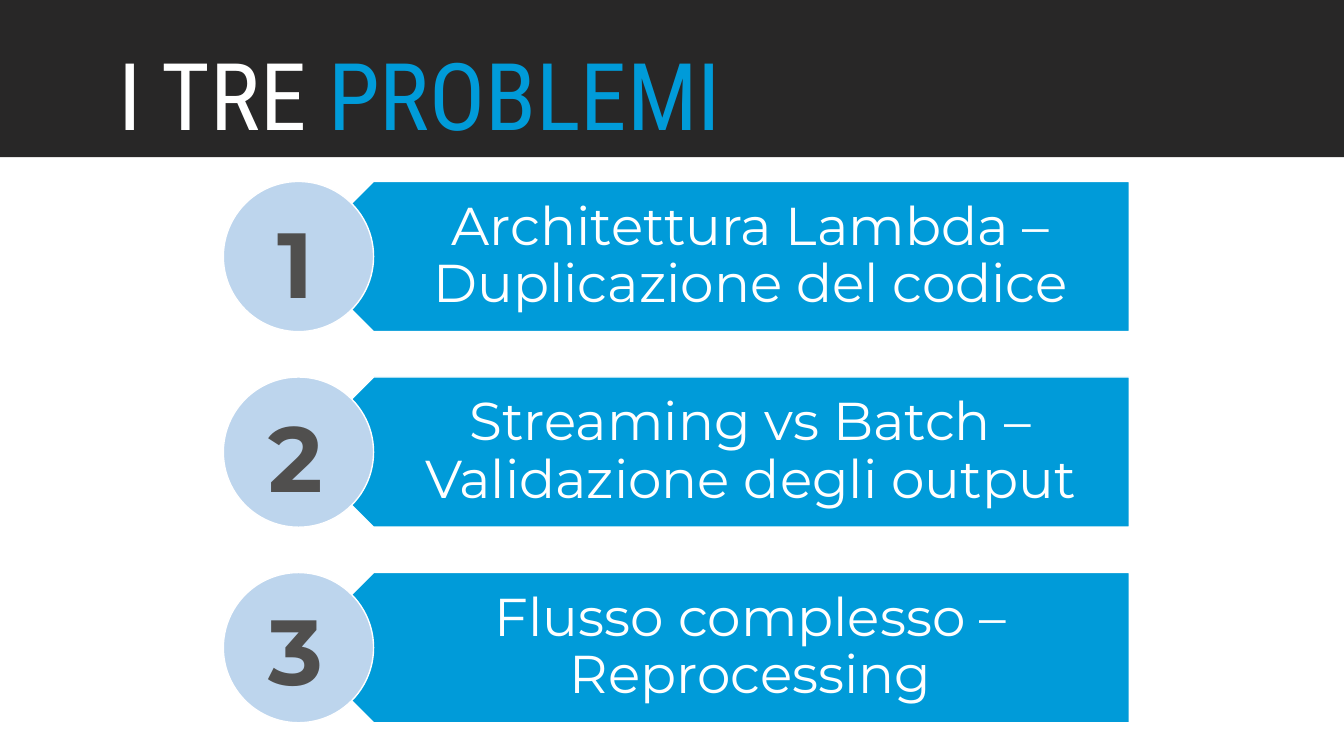
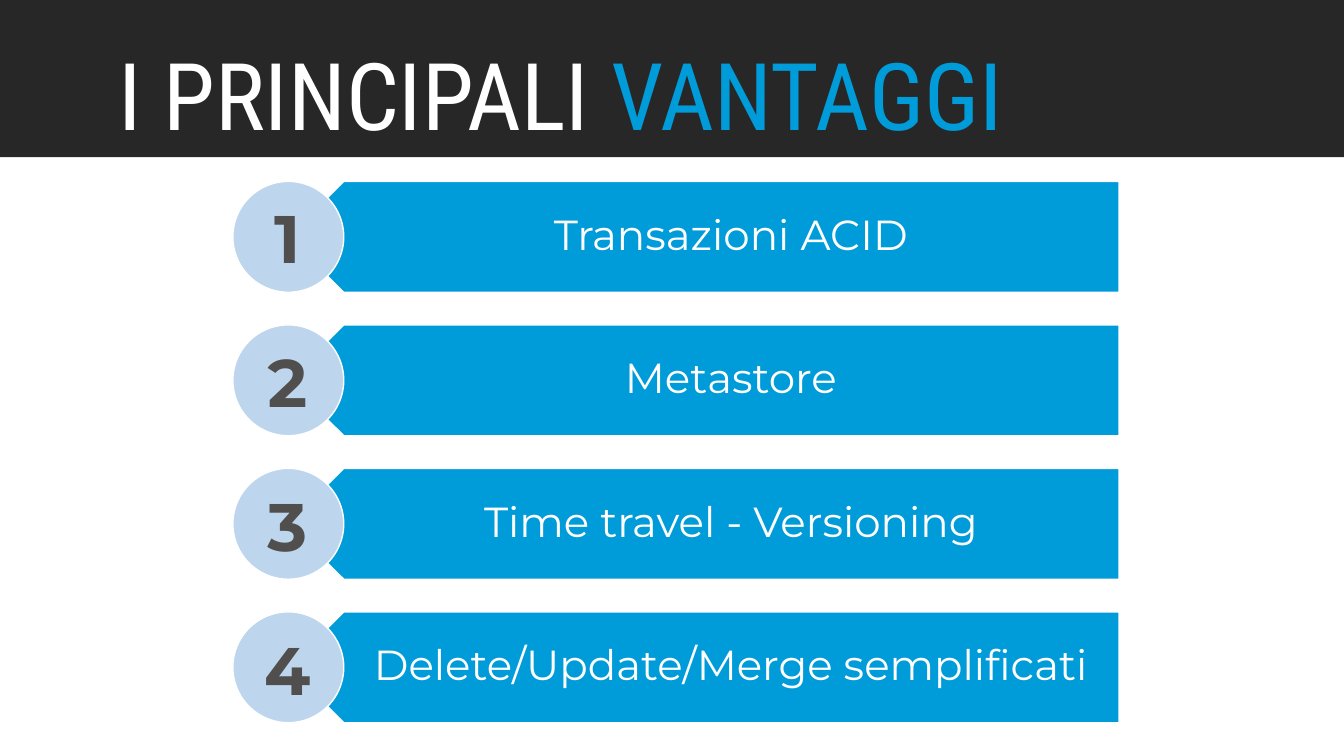
import pptx
import pptx.dml.color
import pptx.enum.shapes
import pptx.enum.text
import pptx.util

Inches = pptx.util.Inches
Pt = pptx.util.Pt
SHAPE = pptx.enum.shapes.MSO_SHAPE
ALIGN = pptx.enum.text.PP_ALIGN
ANCHOR = pptx.enum.text.MSO_ANCHOR

DARK = "282727"
BLUE = "009BD9"
PALE_BLUE = "BDD5ED"
GREY = "504F4E"
WHITE = "FFFFFF"
TITLE_FONT = "Roboto Condensed"
BODY_FONT = "Montserrat"

SLIDE_WIDTH, SLIDE_HEIGHT = 13.33, 7.5
LIST_TOP, LIST_BOTTOM = 1.8, 7.17
ARROW_WIDTH = 8.24
NUMBER_WIDTH = 1.66


def color(hex_string):
    return pptx.dml.color.RGBColor.from_string(hex_string)


class SlideBuilder:
    """Holds the deck, its style and the slide being drawn."""

    def __init__(self):
        self.deck = pptx.Presentation()
        self.deck.slide_width = Inches(SLIDE_WIDTH)
        self.deck.slide_height = Inches(SLIDE_HEIGHT)
        self.slide = None

    def new_slide(self, start, highlight):
        """Start a slide with the dark band and a two-colour title."""
        self.slide = self.deck.slides.add_slide(self.deck.slide_layouts[5])
        title = self.slide.shapes.title
        title.left, title.top = Inches(1.18), Inches(0.44)
        title.width, title.height = Inches(10.34), Inches(1.04)
        frame = title.text_frame
        self.set_frame(frame, (0, 0, 0, 0))
        para = frame.paragraphs[0]
        para.alignment = ALIGN.LEFT
        para.line_spacing = Pt(75)
        for text, text_color in ((start, WHITE), (highlight, BLUE)):
            span = para.add_run()
            span.text = text
            self.set_font(span.font, TITLE_FONT, 66.7, text_color)
        band = self.shape(SHAPE.RECTANGLE, 0, 0, SLIDE_WIDTH, 1.56, DARK)
        title.element.addprevious(band.element)

    def set_frame(self, frame, insets):
        """Wrap and centre vertically; insets are left, top, right, bottom."""
        frame.word_wrap = True
        frame.auto_size = pptx.enum.text.MSO_AUTO_SIZE.NONE
        frame.vertical_anchor = ANCHOR.MIDDLE
        frame.margin_left, frame.margin_top, frame.margin_right, frame.margin_bottom = (
            Inches(inset) for inset in insets)

    def set_font(self, font, name, size, text_color, bold=False):
        font.name = name
        font.size = Pt(size)
        font.bold = bold
        font.color.rgb = color(text_color)

    def shape(self, kind, left, top, width, height, fill, line=None):
        shape = self.slide.shapes.add_shape(
            kind, Inches(left), Inches(top), Inches(width), Inches(height))
        shape.shadow.inherit = False
        shape.fill.solid()
        shape.fill.fore_color.rgb = color(fill)
        if line:
            shape.line.color.rgb = color(line)
            shape.line.width = Pt(1)
        else:
            shape.line.fill.background()
        return shape

    def text(self, text, left, top, width, height, size, text_color,
             bold=False, insets=(0.1, 0.05, 0.1, 0.05), line_spacing=1.0):
        box = self.slide.shapes.add_textbox(
            Inches(left), Inches(top), Inches(width), Inches(height))
        self.set_frame(box.text_frame, insets)
        box.text_frame.text = text
        para = box.text_frame.paragraphs[0]
        para.alignment = ALIGN.CENTER
        para.line_spacing = line_spacing
        for span in para.runs:
            self.set_font(span.font, BODY_FONT, size, text_color, bold)

    def numbered_arrows(self, labels, left, diameter, label_size, number_size,
                        number_left, number_top, number_step, number_height):
        """Spread the arrows evenly, each with a numbered circle on its tip."""
        step = (LIST_BOTTOM - LIST_TOP - diameter) / (len(labels) - 1)
        insets = [diameter * share for share in (0.44, 0.11, 0.2, 0.11)]
        indent = diameter / 4
        for index, label in enumerate(labels):
            top = LIST_TOP + index * step
            arrow = self.shape(SHAPE.PENTAGON, left, top, ARROW_WIDTH, diameter,
                               BLUE, WHITE)
            arrow.rotation = 180
            self.text(label, left + indent, top, ARROW_WIDTH - indent, diameter,
                      label_size, WHITE, insets=insets, line_spacing=0.9)
            self.shape(SHAPE.OVAL, left - diameter / 2, top, diameter, diameter,
                       PALE_BLUE, WHITE)
            self.text(str(index + 1), number_left, number_top + index * number_step,
                      NUMBER_WIDTH, number_height, number_size, GREY, bold=True)


def main():
    builder = SlideBuilder()

    builder.new_slide("I TRE ", "PROBLEMI")
    builder.numbered_arrows(
        ["Architettura Lambda – Duplicazione del codice",
         "Streaming vs Batch – Validazione degli output",
         "Flusso complesso –\vReprocessing"],
        left=2.96, diameter=1.49, label_size=38, number_size=66,
        number_left=2.1, number_top=1.99, number_step=1.92, number_height=1.21)

    builder.new_slide("I PRINCIPALI ", "VANTAGGI")
    builder.numbered_arrows(
        ["Transazioni ACID",
         "Metastore",
         "Time travel - Versioning",
         "Delete/Update/Merge semplificati"],
        left=2.86, diameter=1.1, label_size=30, number_size=48,
        number_left=2.02, number_top=1.89, number_step=1.43, number_height=0.91)

    builder.deck.save("out.pptx")


if __name__ == "__main__":
    main()
